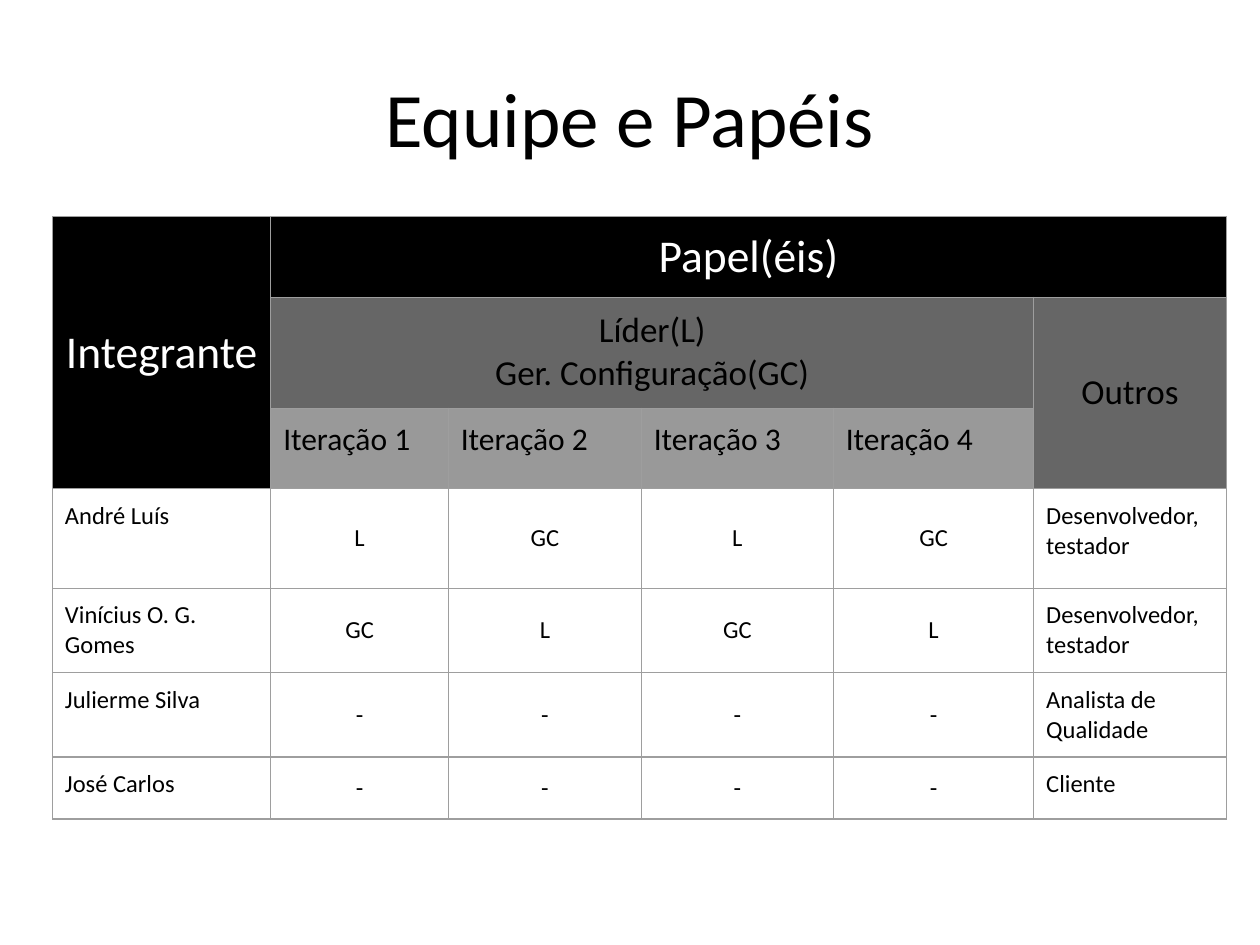
from dataclasses import dataclass

from lxml.etree import SubElement
from pptx import Presentation
from pptx.dml.color import RGBColor
from pptx.enum.text import MSO_ANCHOR, PP_ALIGN
from pptx.oxml.ns import qn
from pptx.util import Cm, Pt


@dataclass(frozen=True)
class Theme:
    font: str = "Calibri"
    black: str = "000000"
    white: str = "FFFFFF"
    dark_gray: str = "666666"
    light_gray: str = "999999"
    border: str = "9E9E9E"
    border_width: float = 0.75
    title_size: int = 44
    heading_size: int = 26
    group_size: int = 20
    iteration_size: int = 18
    body_size: int = 14
    cell_margin: float = 0.25


class SlideBuilder:
    def __init__(self, slide, theme):
        self.slide = slide
        self.theme = theme

    def format_text(self, frame, size, color, centered):
        for paragraph in frame.paragraphs:
            paragraph.alignment = PP_ALIGN.CENTER if centered else PP_ALIGN.LEFT
            for run in paragraph.runs:
                run.font.name = self.theme.font
                run.font.size = Pt(size)
                run.font.color.rgb = RGBColor.from_string(color)

    def title(self, text, left, top, width, height):
        box = self.slide.shapes.add_textbox(Cm(left), Cm(top), Cm(width), Cm(height))
        frame = box.text_frame
        frame.word_wrap = True
        frame.vertical_anchor = MSO_ANCHOR.MIDDLE
        frame.text = text
        self.format_text(frame, self.theme.title_size, self.theme.black, True)

    def table(self, left, top, widths, heights):
        frame = self.slide.shapes.add_table(
            len(heights), len(widths), Cm(left), Cm(top),
            Cm(sum(widths)), Cm(sum(heights)))
        grid = frame.table
        grid.first_row = False
        grid.horz_banding = False
        for column, width in zip(grid.columns, widths):
            column.width = Cm(width)
        for row, height in zip(grid.rows, heights):
            row.height = Cm(height)
        for cell in grid.iter_cells():
            self.borders(cell)
            cell.fill.background()
        return grid

    def borders(self, cell):
        properties = cell._tc.get_or_add_tcPr()
        for side in ("a:lnL", "a:lnR", "a:lnT", "a:lnB"):
            line = SubElement(properties, qn(side), w=str(Pt(self.theme.border_width)))
            fill = SubElement(line, qn("a:solidFill"))
            SubElement(fill, qn("a:srgbClr"), val=self.theme.border)

    def cell(self, grid, row, column, text, size, color=None, fill=None,
             span=(1, 1), centered=False, middle=False):
        cell = grid.cell(row, column)
        if span != (1, 1):
            cell.merge(grid.cell(row + span[0] - 1, column + span[1] - 1))
        margin = Cm(self.theme.cell_margin)
        cell.margin_left = cell.margin_right = margin
        cell.margin_top = cell.margin_bottom = margin
        cell.vertical_anchor = MSO_ANCHOR.MIDDLE if middle else MSO_ANCHOR.TOP
        if fill:
            cell.fill.solid()
            cell.fill.fore_color.rgb = RGBColor.from_string(fill)
        cell.text_frame.text = text
        self.format_text(cell.text_frame, size, color or self.theme.black, centered)


def main():
    theme = Theme()
    presentation = Presentation()
    presentation.slide_width = Cm(25.4)
    presentation.slide_height = Cm(19.05)
    slide = presentation.slides.add_slide(presentation.slide_layouts[6])
    builder = SlideBuilder(slide, theme)

    builder.title("Equipe e Papéis", 1.27, 0.76, 22.86, 3.18)

    # Table grid
    roles = builder.table(
        1.06, 4.37,
        widths=[4.4, 3.58, 3.89, 3.87, 4.04, 3.88],
        heights=[1.62, 2.24, 1.62, 2.01, 1.7, 1.7, 1.25])

    # Header cells
    builder.cell(roles, 0, 0, "Integrante", theme.heading_size, theme.white,
                 theme.black, span=(3, 1), centered=True, middle=True)
    builder.cell(roles, 0, 1, "Papel(éis)", theme.heading_size, theme.white,
                 theme.black, span=(1, 5), centered=True)
    builder.cell(roles, 1, 1, "Líder(L)\nGer. Configuração(GC)", theme.group_size,
                 fill=theme.dark_gray, span=(1, 4), centered=True)
    builder.cell(roles, 1, 5, "Outros", theme.group_size,
                 fill=theme.dark_gray, span=(2, 1), centered=True, middle=True)
    for iteration in range(1, 5):
        builder.cell(roles, 2, iteration, f"Iteração {iteration}",
                     theme.iteration_size, fill=theme.light_gray)

    # Members: name, role in each iteration, other roles
    members = [
        ("André Luís", "L", "GC", "L", "GC", "Desenvolvedor, testador"),
        ("Vinícius O. G. Gomes", "GC", "L", "GC", "L", "Desenvolvedor, testador"),
        ("Julierme Silva", "-", "-", "-", "-", "Analista de Qualidade"),
        ("José Carlos", "-", "-", "-", "-", "Cliente"),
    ]
    for row, member in enumerate(members, start=3):
        for column, text in enumerate(member):
            is_role = 1 <= column <= 4
            builder.cell(roles, row, column, text, theme.body_size,
                         centered=is_role, middle=is_role)

    presentation.save("out.pptx")


if __name__ == "__main__":
    main()
